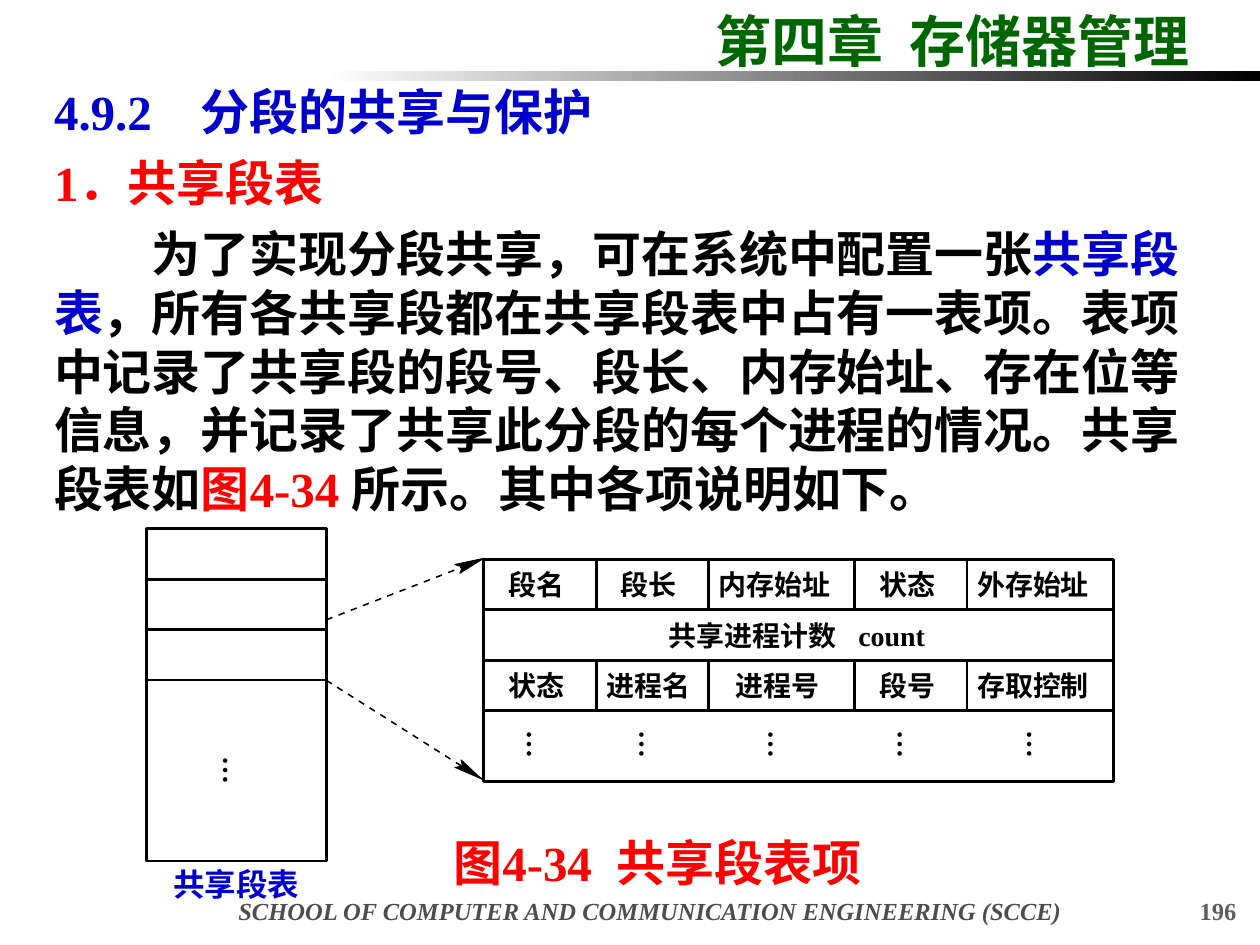
import pptx
import pptx.util
import pptx.dml.color
import pptx.enum.shapes
import pptx.enum.text
import pptx.oxml
import pptx.oxml.ns

Pt = pptx.util.Pt
ALIGN = pptx.enum.text.PP_ALIGN
ANCHOR = pptx.enum.text.MSO_ANCHOR
RECT = pptx.enum.shapes.MSO_SHAPE.RECTANGLE
ROMAN, HAN = "Times New Roman", "Noto Sans CJK SC"
BLACK, BLUE, RED = "000000", "0000CC", "FF0000"


def hue(code):
    return pptx.dml.color.RGBColor.from_string(code)


def write(para, text, size, color, face=ROMAN, slant=False):
    run = para.add_run()
    run.text = text
    font = run.font
    font.size, font.name, font.bold, font.italic = Pt(size), face, True, slant
    font.color.rgb = hue(color)
    east = pptx.oxml.parse_xml(
        f'<a:ea {pptx.oxml.ns.nsdecls("a")} typeface="{HAN}"/>')
    run.font._element.append(east)


deck = pptx.Presentation()
deck.slide_width, deck.slide_height = Pt(720), Pt(540)
slide = deck.slides.add_slide(deck.slide_layouts[5])
shapes = slide.shapes

# Chapter title and the bar below it
title = shapes.title
title.left, title.top, title.width, title.height = Pt(401.8), Pt(0), Pt(318.2), Pt(46)
title.text_frame.vertical_anchor = ANCHOR.MIDDLE
head = title.text_frame.paragraphs[0]
head.alignment = ALIGN.LEFT
write(head, "第四章  存储器管理", 32, "006600")

bar = shapes.add_shape(RECT, Pt(185.8), Pt(40.3), Pt(534.2), Pt(5.8))
bar.shadow.inherit = False
bar.line.fill.background()
bar.fill.gradient()
bar.fill.gradient_angle = 0
for stop, code in zip(bar.fill.gradient_stops, ("FFFFFF", BLACK)):
    stop.color.rgb = hue(code)

# Footer, page number and figure caption
for text, left, top, width, height, align, size, color, slant in (
    ("SCHOOL OF COMPUTER AND COMMUNICATION ENGINEERING (SCCE)",
     110.9, 508.3, 521.3, 20.2, ALIGN.CENTER, 14, "4D4D4D", True),
    ("196", 563.8, 508.3, 149.8, 20.2, ALIGN.RIGHT, 14, "5F5F5F", False),
    ("图4-34  共享段表项", 252, 472.3, 265.7, 41, ALIGN.LEFT, 28, RED, False),
):
    box = shapes.add_textbox(Pt(left), Pt(top), Pt(width), Pt(height))
    box.text_frame.word_wrap = True
    if size == 28:
        box.text_frame.vertical_anchor = ANCHOR.MIDDLE
    para = box.text_frame.paragraphs[0]
    para.alignment = align
    write(para, text, size, color, slant=slant)

# Section heading and body
body = shapes.add_textbox(Pt(23.8), Pt(43), Pt(678.2), Pt(257))
frame = body.text_frame
frame.word_wrap = True
for i, runs in enumerate((
    [("4.9.2　分段的共享与保护", BLUE, ROMAN)],
    [("1．共享段表", RED, ROMAN)],
    [("　　为了实现分段共享，可在系统中配置一张", BLACK, HAN),
     ("共享段表", BLUE, ROMAN),
     ("，所有各共享段都在共享段表中占有一表项。表项中记录了共享段的段号、段长、"
      "内存始址、存在位等信息，并记录了共享此分段的每个进程的情况。共享段表如", BLACK, HAN),
     ("图4-34 ", RED, ROMAN),
     ("所示。其中各项说明如下。", BLACK, HAN)],
)):
    para = frame.add_paragraph() if i else frame.paragraphs[0]
    para.line_spacing = Pt(33.6)
    para.space_before = Pt(7 if i else 0)
    for text, color, face in runs:
        write(para, text, 28, color, face)

# Cells of the entry table and of the segment table, with labels by centre
step = 28.8
left, top, full = 276.5, 319.7, 359.7
widths = (64.2, 64.2, 83.5, 64.2, 83.6)
names = (("段名", "段长", "内存始址", "状态", "外存始址"),
         ("状态", "进程名", "进程号", "段号", "存取控制"))
cells = [(left, top + step, full, step), (left, top + 3 * step, full, 40.3)]
labels = [("共享进程计数", 430, top + 1.5 * step, 16, BLACK, HAN, 0),
          ("count", 509.5, top + 1.5 * step, 16, BLACK, ROMAN, 0),
          ("…", 134, 440, 16, BLACK, ROMAN, 90),
          ("共享段表", 135, 505.4, 18, BLUE, HAN, 0)]
x = left
for col, width in enumerate(widths):
    mid = x + width / 2
    for row, y in enumerate((top, top + 2 * step)):
        name = names[row][col]
        shift = 4 if len(name) == 4 else 2.2
        cells.append((x, y, width, step))
        labels.append((name, mid - shift, y + step / 2, 16, BLACK, HAN, 0))
    labels.append(("…", mid - 1, 425.5, 16, BLACK, ROMAN, 90))
    x += width
for row in range(4):
    cells.append((83.5, 302.2 + row * step, 103, step if row < 3 else 103.4))

for x, y, width, height in cells:
    cell = shapes.add_shape(RECT, Pt(x), Pt(y), Pt(width), Pt(height))
    cell.shadow.inherit = False
    cell.fill.background()
    cell.line.color.rgb = hue(BLACK)
    cell.line.width = Pt(1.62)

for text, x, y, size, color, face, turn in labels:
    width = size * len(text) if face == HAN or turn else 46
    height = 1.2 * size
    box = shapes.add_textbox(Pt(x - width / 2), Pt(y - height / 2), Pt(width), Pt(height))
    box.rotation = turn
    frame = box.text_frame
    frame.margin_left = frame.margin_right = frame.margin_top = frame.margin_bottom = 0
    frame.word_wrap = False
    frame.vertical_anchor = ANCHOR.MIDDLE
    frame.paragraphs[0].alignment = ALIGN.CENTER
    write(frame.paragraphs[0], text, size, color, face)

# Arrows of even dashes from one segment row to its enlarged entry
for x, y, dx, dy, count, tip in (
    (186.5, 354.2, 6.96, -2.7, 13,
     ((259.9, 322.6), (264.2, 324), (262.8, 327.6), (276.5, 319))),
    (186.5, 388.8, 6.17, 3.91, 15,
     ((263.5, 434.2), (264.2, 437.8), (259.9, 438.5), (275, 445))),
):
    for i in range(count):
        ends = (x + i * dx, y + i * dy, x + (i + 0.5) * dx, y + (i + 0.5) * dy)
        dash = shapes.add_connector(pptx.enum.shapes.MSO_CONNECTOR.STRAIGHT,
                                    *map(Pt, ends))
        dash.line.color.rgb = hue(BLACK)
        dash.line.width = Pt(0.88)
        dash._element.spPr.append(pptx.oxml.parse_xml(
            f'<a:effectLst {pptx.oxml.ns.nsdecls("a")}/>'))
    pen = shapes.build_freeform(Pt(tip[0][0]), Pt(tip[0][1]))
    pen.add_line_segments([(Pt(px), Pt(py)) for px, py in tip[1:]], close=True)
    barb = pen.convert_to_shape()
    barb.shadow.inherit = False
    barb.fill.solid()
    barb.fill.fore_color.rgb = hue(BLACK)
    barb.line.color.rgb = hue(BLACK)
    barb.line.width = Pt(0.5)

deck.save("out.pptx")
